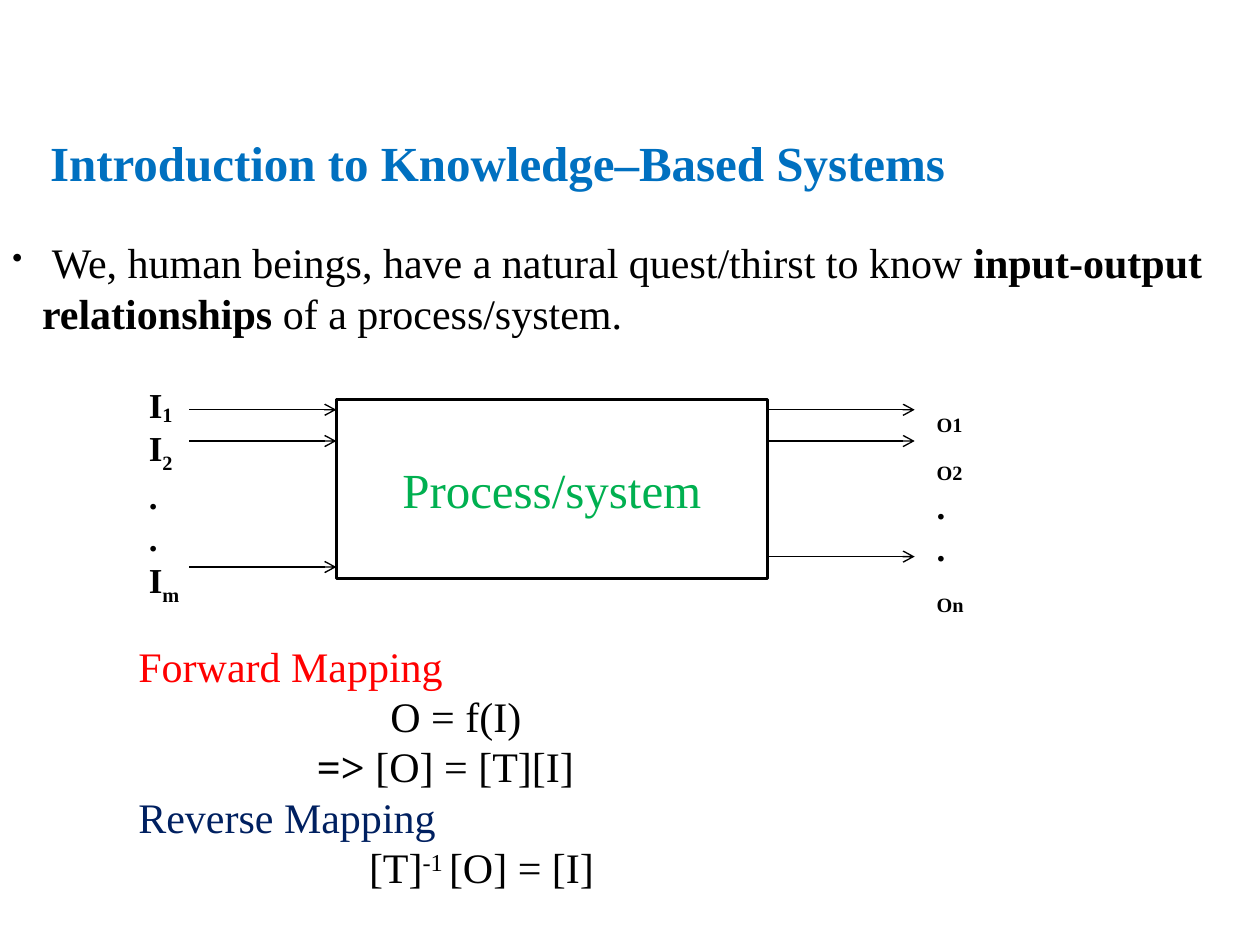
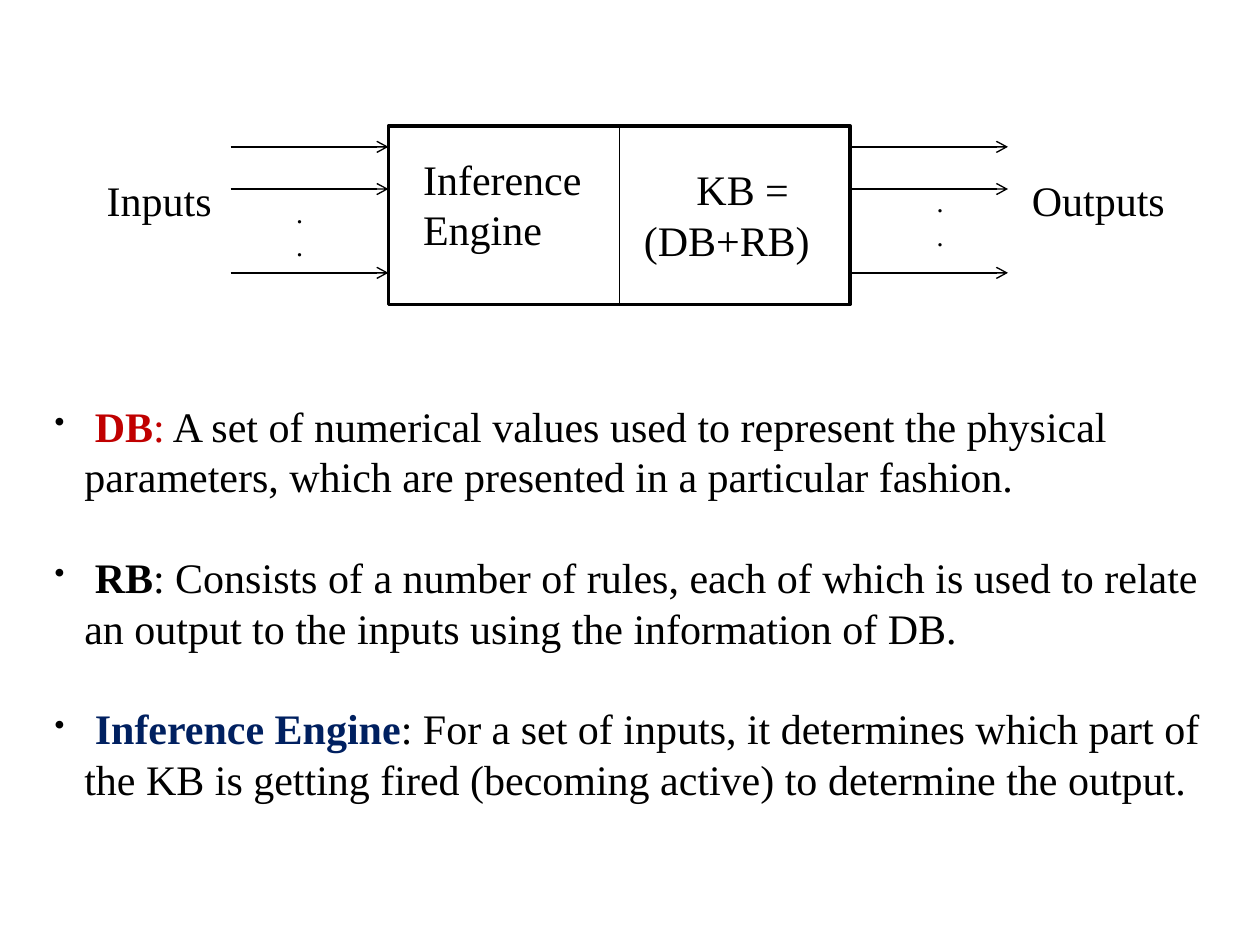
import pptx
import pptx.dml.color
import pptx.enum.shapes
import pptx.enum.text
import pptx.oxml
import pptx.oxml.ns
import pptx.util
from lxml import etree

Cm, Pt = pptx.util.Cm, pptx.util.Pt
RGB = pptx.dml.color.RGBColor
qn = pptx.oxml.ns.qn

BLACK = RGB(0x00, 0x00, 0x00)
WHITE = RGB(0xFF, 0xFF, 0xFF)
BLUE = RGB(0x00, 0x70, 0xC0)
NAVY = RGB(0x00, 0x20, 0x60)
GREEN = RGB(0x00, 0xB0, 0x50)
RED = RGB(0xFF, 0x00, 0x00)
CRIMSON = RGB(0xC0, 0x00, 0x00)
FONT = "Times New Roman"
LEADING = 1.2
HANG = Cm(0.6)
BOLD = {"bold": True}
LOW = {"base": -25}


def write(shape, paras, size=24, bold=False, color=BLACK, bullet=False,
          indents=(), gap=0, center=False):
    """Fill a shape; a paragraph is a list of strings or (string, format) runs."""
    frame = shape.text_frame
    frame.word_wrap = True
    for i, runs in enumerate(paras):
        para = frame.paragraphs[0] if i == 0 else frame.add_paragraph()
        props = para._p.get_or_add_pPr()
        if bullet:
            props.set("marL", str(HANG))
            props.set("indent", str(-HANG))
            etree.SubElement(props, qn("a:buSzPct")).set("val", "70000")
            etree.SubElement(props, qn("a:buChar")).set("char", "•")
        elif indents:
            props.set("marL", str(Cm(indents[i])))
        if center:
            para.alignment = pptx.enum.text.PP_ALIGN.CENTER
        if i and gap:
            para.space_before = Pt(gap)
        drop = 0
        for part in runs:
            words, style = (part, {}) if isinstance(part, str) else part
            run = para.add_run()
            run.text = words
            run.font.name = FONT
            run.font.size = Pt(size)
            run.font.bold = style.get("bold", bold)
            run.font.color.rgb = style.get("color", color)
            base = style.get("base", 0)
            if base:
                run._r.get_or_add_rPr().set("baseline", str(base * 1000))
            if base == LOW["base"]:
                drop = 3.5  # room for the lowered letters
        para.line_spacing = Pt(round(size * LEADING + drop, 1))


def link(slide, x1, y1, x2, y2, arrow=True):
    line = slide.shapes.add_connector(
        pptx.enum.shapes.MSO_CONNECTOR.STRAIGHT, Cm(x1), Cm(y1), Cm(x2), Cm(y2))
    line.line.color.rgb = BLACK
    line.line.width = Pt(0.79)
    if arrow:
        etree.SubElement(line.line._get_or_add_ln(), qn("a:tailEnd")).set("type", "arrow")
    etree.SubElement(line._element.spPr, qn("a:effectLst"))
    return line


deck = pptx.Presentation()
deck.slide_width, deck.slide_height = Cm(25.4), Cm(19.05)

# Both slides: a framed block with arrows running in and out
FRAMES = [
    # frame, arrow length, heights in, heights out
    ((6.78, 8.05, 8.69, 3.61), 2.97, (8.26, 8.89, 11.43), (8.26, 8.89, 11.22)),
    ((7.83, 2.54, 9.31, 3.6), 3.18, (2.96, 3.81, 5.5), (2.96, 3.81, 5.5)),
]
slides, blocks = [], []
for frame, reach, ins, outs in FRAMES:
    slide = deck.slides.add_slide(deck.slide_layouts[6])
    block = slide.shapes.add_shape(
        pptx.enum.shapes.MSO_SHAPE.RECTANGLE, *map(Cm, frame))
    block.shadow.inherit = False
    block.fill.solid()
    block.fill.fore_color.rgb = WHITE
    block.line.color.rgb = BLACK
    block.line.width = Pt(2)
    left, right = frame[0], frame[0] + frame[2]
    for y in ins:
        link(slide, left - reach, y, left, y)
    for y in outs:
        link(slide, right, y, right + reach, y)
    slides.append(slide)
    blocks.append(block)

write(blocks[0], [["Process/system"]], size=28, color=GREEN, center=True)
split = link(slides[1], 12.49, 2.54, 12.49, 6.14, arrow=False)
split.begin_connect(blocks[1], 0)
split.end_connect(blocks[1], 2)

INTRO = [[
    " We, human beings, have a natural quest/thirst to know ",
    ("input-output relationships", BOLD), " of a process/system."]]
MAPS = [
    [("Forward Mapping", {"color": RED})],
    ["O = f(I)"],
    [("=> ", BOLD), "[O] = [T][I]"],
    [("Reverse Mapping", {"color": NAVY})],
    ["[T]", ("-1 ", {"base": 30}), "[O] = [I]"],
]
INPUTS = [["I", ("1", {"base": -10})], ["I", ("2", LOW)], ["."], ["."],
          ["I", ("m", LOW)]]
OUTPUTS = [[("O1", {"base": -10})], [("O2", LOW)], ["."], ["."], [("On", LOW)]]
TERMS = [
    [" ", ("DB", {"bold": True, "color": CRIMSON}), (":", {"color": CRIMSON}),
     " A set of numerical values used to represent the physical parameters, "
     "which are presented in a particular fashion."],
    [" ", ("RB", BOLD),
     ": Consists of a number of rules, each of which is used to relate an "
     "output to the inputs using the information of DB."],
    [" ", ("Inference Engine", {"bold": True, "color": NAVY}),
     ": For a set of inputs, it determines which part of the KB is getting "
     "fired (becoming active) to determine the output."],
]
DOTS = [["."], ["."]]

# slide number, place, paragraphs, format
TEXTS = [
    (0, (0.76, 2.54, 20, 1.45), [["Introduction to Knowledge–Based Systems"]],
     {"size": 28, "bold": True, "color": BLUE}),
    (0, (0, 4.65, 25.04, 2.29), INTRO, {"bullet": True}),
    (0, (0, 12.78, 20, 5.33), MAPS, {"indents": (2.54, 7.62, 6.14, 2.54, 7.19)}),
    (0, (2.75, 7.62, 1.7, 5.2), INPUTS, {"size": 20, "bold": True}),
    (0, (18.63, 7.83, 1.7, 5.2), OUTPUTS, {"size": 20, "bold": True}),
    (1, (1.9, 3.39, 3.45, 1.27), [["Inputs"]], {}),
    (1, (20.55, 3.39, 3.6, 1.27), [["Outputs"]], {}),
    (1, (0.85, 7.95, 23.7, 9.9), TERMS, {"bullet": True, "gap": 28.8}),
    (1, (8.28, 2.96, 4.1, 2.29), [["Inference"], ["Engine"]], {}),
    (1, (12.73, 3.18, 4.2, 2.29), [["KB ="], ["(DB+RB)"]], {"indents": (1.06, 0)}),
    (1, (5.72, 3.81, 0.76, 1.63), DOTS, {"size": 16}),
    (1, (18.63, 3.6, 0.76, 1.63), DOTS, {"size": 16}),
]
for page, place, paras, style in TEXTS:
    write(slides[page].shapes.add_textbox(*map(Cm, place)), paras, **style)

deck.save("out.pptx")
